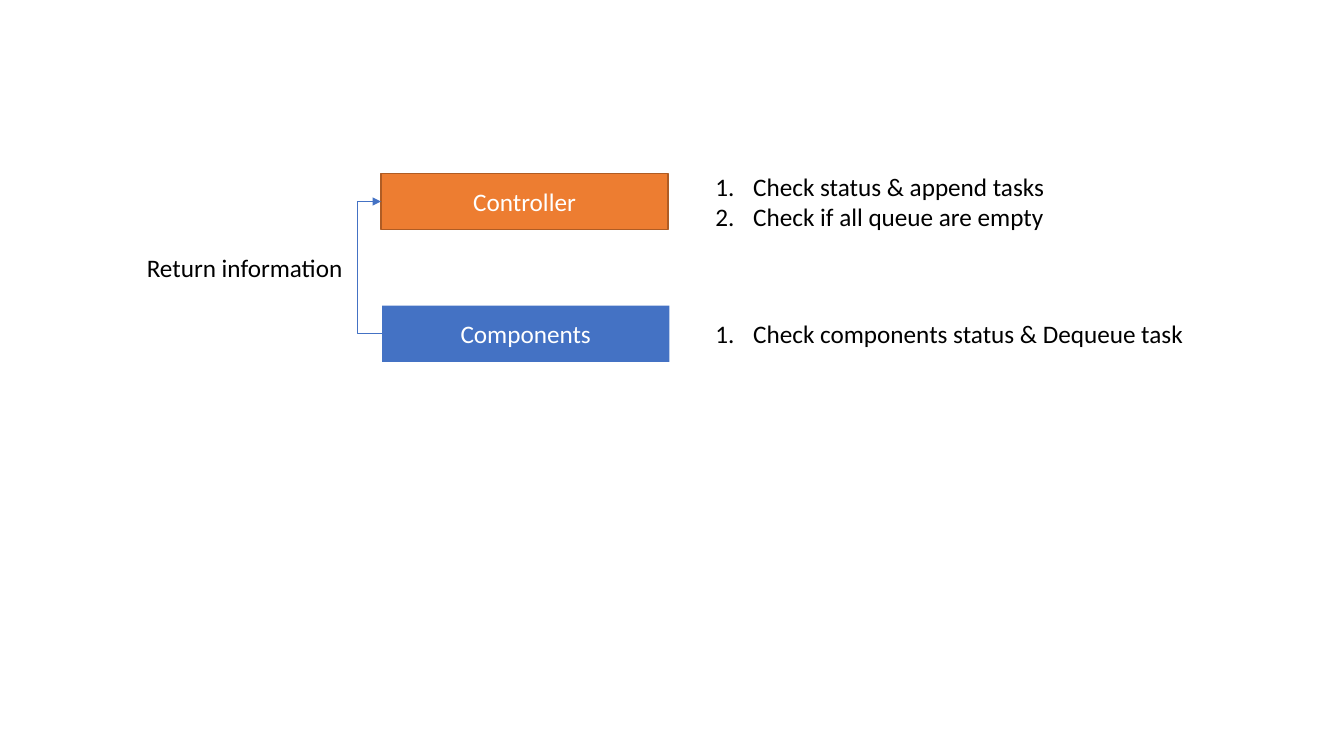
import dataclasses

import pptx
import pptx.dml.color
import pptx.enum.dml
import pptx.enum.shapes
import pptx.enum.text
import pptx.oxml.ns
import pptx.util
from lxml import etree

Cm = pptx.util.Cm
Pt = pptx.util.Pt


@dataclasses.dataclass(frozen=True)
class Theme:
    """Colours and type of the slide."""

    font: str = "Calibri"
    size: float = 18
    orange: str = "ED7D31"
    orange_edge: str = "AF5C24"
    blue: str = "4472C4"
    black: str = "000000"
    white: str = "FFFFFF"


THEME = Theme()


def rgb(code):
    """Turn a hex code into a colour."""
    return pptx.dml.color.RGBColor.from_string(code)


def sub(parent, tag, **attributes):
    """Append a drawing element to a parent."""
    return etree.SubElement(parent, pptx.oxml.ns.qn(tag), **attributes)


def format_runs(frame, colour):
    """Give every run the theme font in one colour."""
    for paragraph in frame.paragraphs:
        for run in paragraph.runs:
            run.font.name = THEME.font
            run.font.size = Pt(THEME.size)
            run.font.color.rgb = rgb(colour)


def add_stage(slide, name, left, top, width, height, fill, edge=None):
    """Draw a filled rectangle with its centred name."""
    stage = slide.shapes.add_shape(
        pptx.enum.shapes.MSO_SHAPE.RECTANGLE, Cm(left), Cm(top), Cm(width), Cm(height))
    stage.shadow.inherit = False
    stage.fill.solid()
    stage.fill.fore_color.rgb = rgb(fill)
    if edge:
        stage.line.color.rgb = rgb(edge)
        stage.line.width = Pt(1)
    else:
        stage.line.fill.background()
    frame = stage.text_frame
    frame.text = name
    frame.vertical_anchor = pptx.enum.text.MSO_ANCHOR.MIDDLE
    frame.paragraphs[0].alignment = pptx.enum.text.PP_ALIGN.CENTER
    format_runs(frame, THEME.white)
    return stage


def add_note(slide, lines, left, middle, width, numbered=False):
    """Write lines of text centred vertically on a height."""
    height = 0.25 + 0.77 * len(lines)
    note = slide.shapes.add_textbox(
        Cm(left), Cm(middle - height / 2), Cm(width), Cm(height))
    frame = note.text_frame
    frame.text = "\n".join(lines)
    frame.word_wrap = False
    frame.auto_size = pptx.enum.text.MSO_AUTO_SIZE.SHAPE_TO_FIT_TEXT
    format_runs(frame, THEME.black)
    if numbered:
        for paragraph in frame.paragraphs:
            properties = paragraph._p.get_or_add_pPr()
            properties.set("marL", "342900")
            properties.set("indent", "-342900")
            sub(properties, "a:buFont", typeface="+mj-lt")
            sub(properties, "a:buAutoNum", type="arabicPeriod")


def add_return_arrow(slide, source, target, reach):
    """Join the left sides of two stages by an elbow reaching out to the left."""
    arrow = slide.shapes.add_connector(
        pptx.enum.shapes.MSO_CONNECTOR.ELBOW, source.left, source.top, target.left, target.top)
    arrow.begin_connect(source, 1)
    arrow.end_connect(target, 1)
    arrow.line.color.rgb = rgb(THEME.blue)
    arrow.line.width = Pt(0.5)
    properties = arrow._element.spPr
    sub(properties.find(pptx.oxml.ns.qn("a:ln")), "a:tailEnd", type="triangle")
    sub(properties, "a:effectLst")
    bend = round(Cm(reach) / arrow.width * 100000)
    guides = properties.find(pptx.oxml.ns.qn("a:prstGeom")).get_or_add_avLst()
    sub(guides, "a:gd", name="adj1", fmla=f"val {bend}")


def add_flow(slide, left, top, width, height, pitch):
    """Draw both stages, their tasks and the return path."""
    upper = top + height / 2
    lower = upper + pitch
    tasks_left = left + width + 0.94
    controller = add_stage(
        slide, "Controller", left, top, width, height, THEME.orange, THEME.orange_edge)
    add_note(slide, ["Check status & append tasks", "Check if all queue are empty"],
             tasks_left, upper, 8.89, numbered=True)
    components = add_stage(
        slide, "Components", left + 0.03, top + pitch, width, height, THEME.blue)
    add_note(slide, ["Check components status & Dequeue task"],
             tasks_left, lower, 12.42, numbered=True)
    add_return_arrow(slide, components, controller, 0.61)
    add_note(slide, ["Return information"], left - 6.15, (upper + lower) / 2, 5.51)


def main():
    """Build and save the slide."""
    deck = pptx.Presentation()
    deck.slide_width = Cm(33.87)
    deck.slide_height = Cm(19.05)
    slide = deck.slides.add_slide(deck.slide_layouts[6])
    add_flow(slide, left=9.6, top=4.37, width=7.24, height=1.42, pitch=3.33)
    deck.save("out.pptx")


if __name__ == "__main__":
    main()
